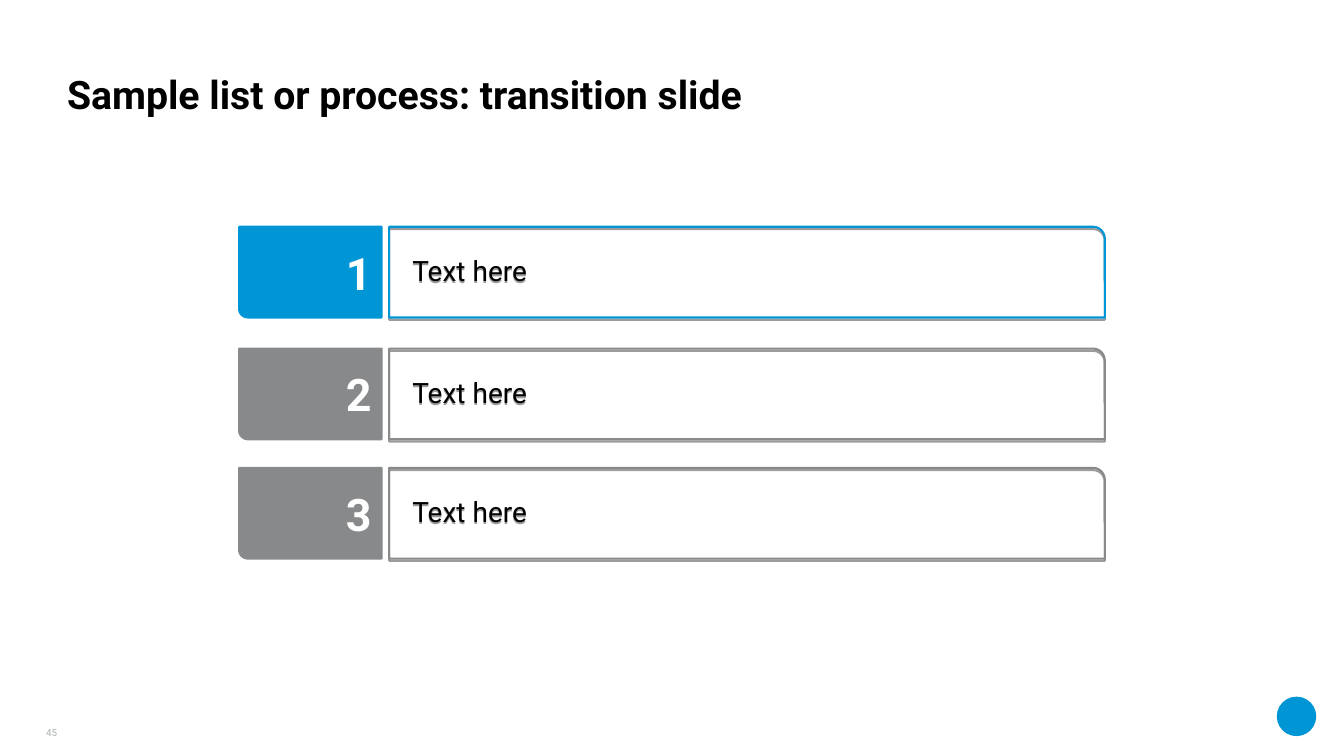
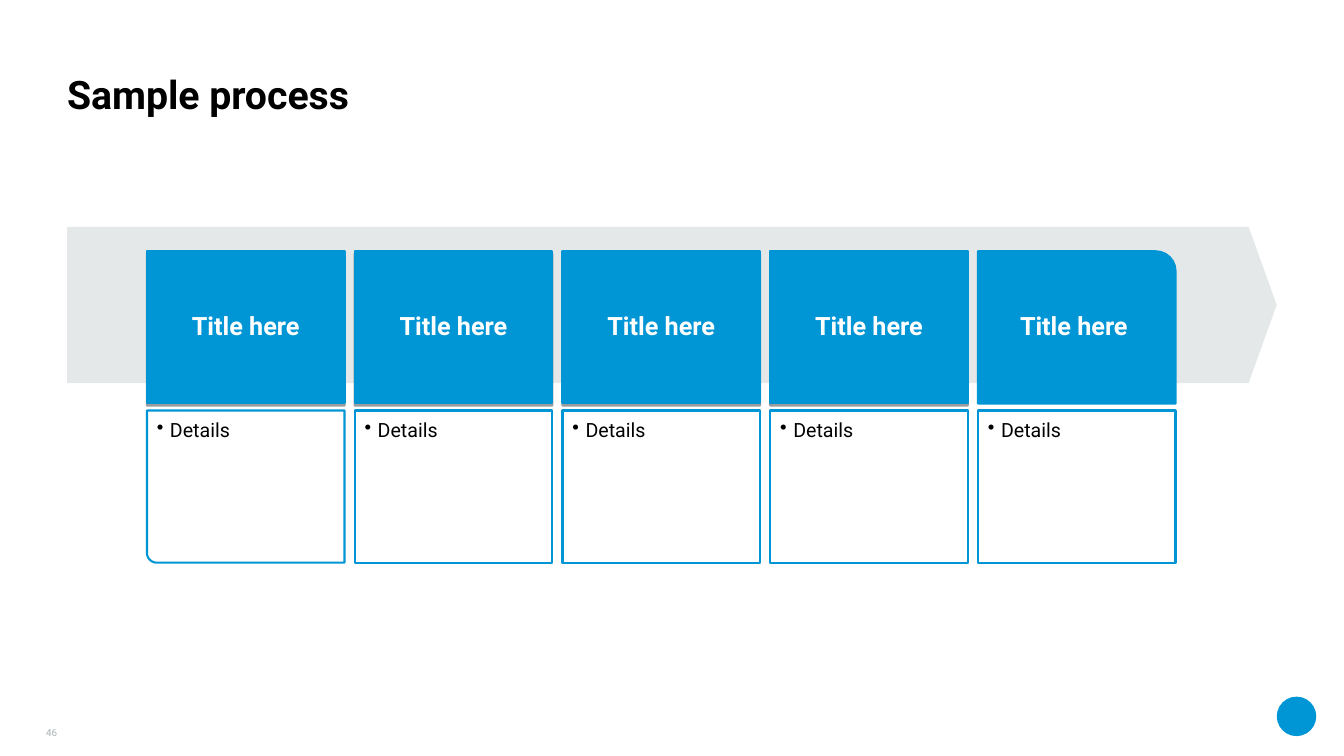
"""Build a two-slide deck with a numbered list and a five-step process."""
import math
from dataclasses import dataclass
from typing import Optional

import lxml.etree
import pptx
import pptx.dml.color
import pptx.enum.shapes
import pptx.enum.text
import pptx.oxml.ns
import pptx.shapes.autoshape
import pptx.slide
import pptx.util

Pt = pptx.util.Pt
MSO_SHAPE = pptx.enum.shapes.MSO_SHAPE
ANCHOR = pptx.enum.text.MSO_ANCHOR
ALIGN = pptx.enum.text.PP_ALIGN
Shape = pptx.shapes.autoshape.Shape
Slide = pptx.slide.Slide

FONT = "Roboto"
BLUE, GREY, PALE, FOOTER = "0096D6", "87898B", "E5E8E8", "A8B2B2"
BLACK, WHITE = "000000", "FFFFFF"


@dataclass(frozen=True)
class Box:
    x: float
    y: float
    w: float
    h: float


@dataclass(frozen=True)
class TextStyle:
    size: float
    color: str = BLACK
    bold: bool = False
    align: ALIGN = ALIGN.LEFT
    anchor: ANCHOR = ANCHOR.MIDDLE
    insets: tuple[float, float, float, float] = (0, 0, 0, 0)
    spacing: float = 0.9
    bullet: bool = False


@dataclass(frozen=True)
class Row:
    number: str
    text: str
    top: float
    color: str


@dataclass(frozen=True)
class Step:
    title: str
    details: str


TITLE = TextStyle(28, bold=True, anchor=ANCHOR.BOTTOM)
PAGE_NUMBER = TextStyle(7, FOOTER, align=ALIGN.RIGHT, anchor=ANCHOR.BOTTOM, spacing=1)
ROW_NUMBER = TextStyle(32, WHITE, True, ALIGN.RIGHT, insets=(7.2, 3.6, 7.2, 3.6), spacing=1)
ROW_TEXT = TextStyle(20, insets=(16.56, 3, 6, 3))
STEP_TITLE = TextStyle(18, WHITE, True, ALIGN.CENTER, insets=(3.6, 3.6, 3.6, 3.6))
LAST_TITLE = TextStyle(18, WHITE, True, ALIGN.CENTER, insets=(7.2, 3.6, 7.2, 3.6))
STEP_DETAILS = TextStyle(14, anchor=ANCHOR.TOP, insets=(7.2, 7.2, 7.2, 3.6), bullet=True)

ROWS = [
    Row("1", "Text here", 162, BLUE),
    Row("2", "Text here", 249, GREY),
    Row("3", "Text here", 334.2, GREY),
]
STEPS = [Step("Title here", "Details")] * 5


def rgb(color: str) -> pptx.dml.color.RGBColor:
    return pptx.dml.color.RGBColor.from_string(color)


def write(sp: Shape, text: str, style: TextStyle) -> None:
    tf = sp.text_frame
    tf.text = text
    tf.word_wrap = True
    tf.vertical_anchor = style.anchor
    tf.margin_left, tf.margin_top, tf.margin_right, tf.margin_bottom = map(Pt, style.insets)
    p = tf.paragraphs[0]
    if style.bullet:
        add_bullet(p, style.color)
    p.alignment = style.align
    p.line_spacing = style.spacing
    font = p.runs[0].font
    font.name = FONT
    font.size = Pt(style.size)
    font.bold = style.bold
    font.color.rgb = rgb(style.color)


def add_bullet(p, color: str) -> None:
    qn = pptx.oxml.ns.qn
    pPr = p._p.get_or_add_pPr()
    pPr.set("marL", str(Pt(9.36)))
    pPr.set("indent", str(-Pt(9.36)))
    clr = lxml.etree.SubElement(pPr, qn("a:buClr"))
    lxml.etree.SubElement(clr, qn("a:srgbClr"), val=color)
    lxml.etree.SubElement(pPr, qn("a:buChar"), char="•")


def paint(sp: Shape, fill: Optional[str], line: Optional[str], shadow: bool = False) -> None:
    if fill:
        sp.fill.solid()
        sp.fill.fore_color.rgb = rgb(fill)
    else:
        sp.fill.background()
    if line:
        sp.line.color.rgb = rgb(line)
        sp.line.width = Pt(1.5)
    else:
        sp.line.fill.background()
    sp.shadow.inherit = False
    if shadow:
        add_shadow(sp)


def add_shadow(sp: Shape) -> None:
    qn = pptx.oxml.ns.qn
    effects = sp._element.spPr.find(qn("a:effectLst"))
    shadow = lxml.etree.SubElement(
        effects, qn("a:outerShdw"), blurRad="0", dist=str(Pt(1.6)), dir="5400000", rotWithShape="0"
    )
    clr = lxml.etree.SubElement(shadow, qn("a:srgbClr"), val=BLACK)
    lxml.etree.SubElement(clr, qn("a:alpha"), val="38000")


def add_preset(s: Slide, kind: MSO_SHAPE, box: Box, adj: Optional[float] = None) -> Shape:
    sp = s.shapes.add_shape(kind, Pt(box.x), Pt(box.y), Pt(box.w), Pt(box.h))
    if adj is not None:
        sp.adjustments[0] = adj
    return sp


def add_round_bottom_left(s: Slide, box: Box, radius: float) -> Shape:
    right, bottom = box.x + box.w, box.y + box.h
    angles = [math.radians(a) for a in range(0, 91, 10)]
    corner = [
        (box.x + radius * (1 - math.sin(a)), bottom - radius * (1 - math.cos(a))) for a in angles
    ]
    points = [(right, box.y), (right, bottom), *corner]
    builder = s.shapes.build_freeform(Pt(box.x), Pt(box.y))
    builder.add_line_segments([(Pt(x), Pt(y)) for x, y in points], close=True)
    return builder.convert_to_shape()


def add_text(s: Slide, box: Box, text: str, style: TextStyle) -> None:
    sp = s.shapes.add_textbox(Pt(box.x), Pt(box.y), Pt(box.w), Pt(box.h))
    write(sp, text, style)


def add_base_slide(prs, title: str, page: int) -> Slide:
    s = prs.slides.add_slide(prs.slide_layouts[6])
    paint(add_preset(s, MSO_SHAPE.OVAL, Box(912, 497.6, 28.2, 28.2)), BLUE, None)
    add_text(s, Box(48, 24, 864, 60), title, TITLE)
    add_text(s, Box(16.8, 510.5, 24, 17.3), str(page), PAGE_NUMBER)
    return s


def add_row(s: Slide, row: Row) -> None:
    height = 64.8
    tab = add_round_bottom_left(s, Box(170.8, row.top, 101.8, height), 6.3)
    paint(tab, row.color, row.color)
    write(tab, row.number, ROW_NUMBER)
    panel = add_preset(s, MSO_SHAPE.ROUND_1_RECTANGLE, Box(278, row.top, 511.2, height), 0.13)
    paint(panel, None, row.color, shadow=True)
    write(panel, row.text, ROW_TEXT)


def add_step(s: Slide, step: Step, index: int) -> None:
    first, last = index == 0, index == len(STEPS) - 1
    width, height, pitch = 141.1, 108.7, 148.4
    x = 105 + index * pitch
    head_box, body_box = Box(x, 179.5, width, height), Box(x, 293.2, width, height)
    if last:
        head = add_preset(s, MSO_SHAPE.ROUND_1_RECTANGLE, head_box, 0.13)
    else:
        head = add_preset(s, MSO_SHAPE.RECTANGLE, head_box)
    paint(head, BLUE, BLUE, shadow=not last)
    write(head, step.title, LAST_TITLE if last else STEP_TITLE)
    if first:
        body = add_round_bottom_left(s, body_box, 7)
    else:
        body = add_preset(s, MSO_SHAPE.RECTANGLE, body_box)
    paint(body, None, BLUE)
    write(body, step.details, STEP_DETAILS)


def main() -> None:
    prs = pptx.Presentation()
    prs.slide_width, prs.slide_height = Pt(960), Pt(540)

    s = add_base_slide(prs, "Sample list or process: transition slide", 45)
    for row in ROWS:
        add_row(s, row)

    s = add_base_slide(prs, "Sample process", 46)
    paint(add_preset(s, MSO_SHAPE.PENTAGON, Box(48, 162, 864, 111.6), 0.18), PALE, None)
    for index, step in enumerate(STEPS):
        add_step(s, step, index)

    prs.save("out.pptx")


if __name__ == "__main__":
    main()
